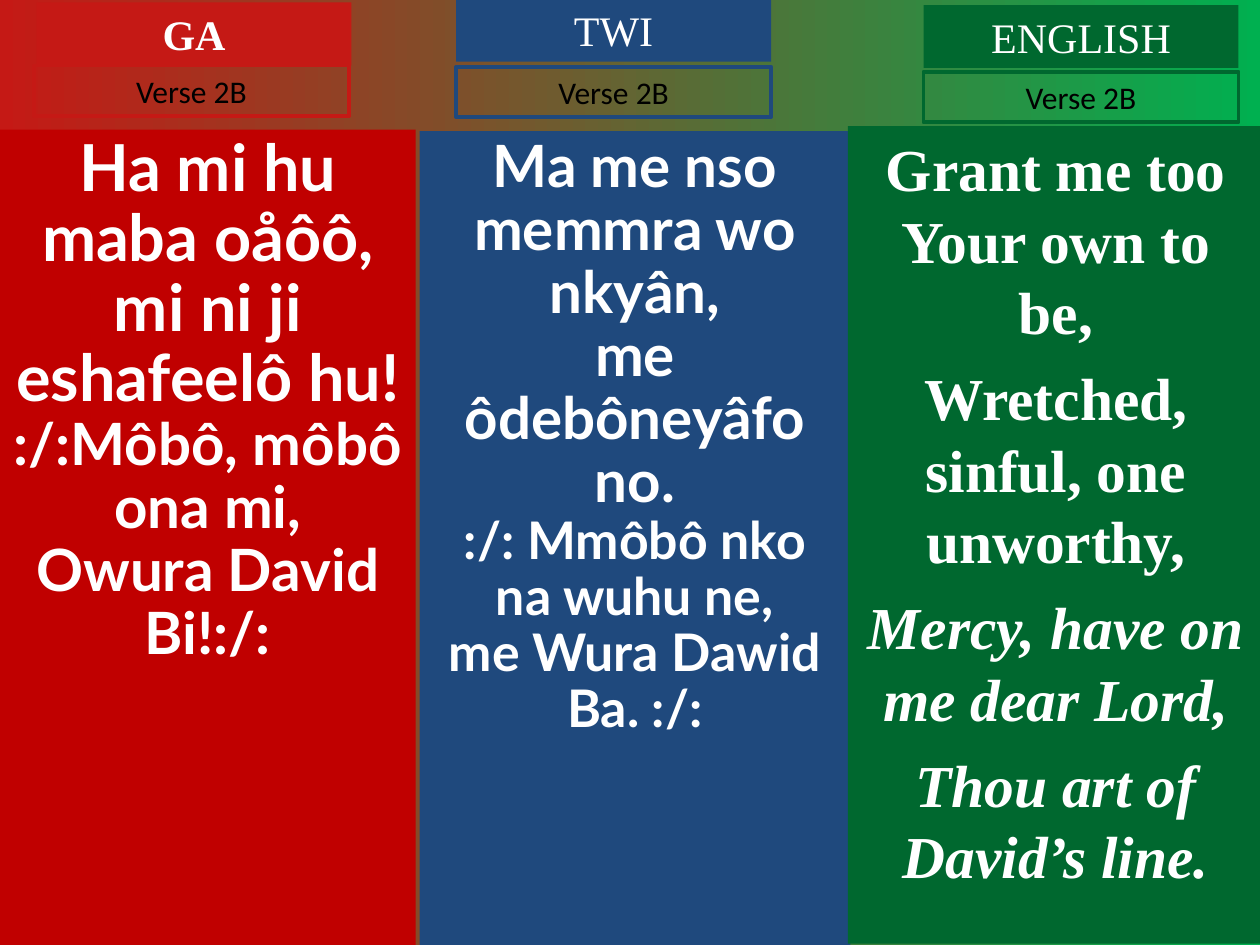
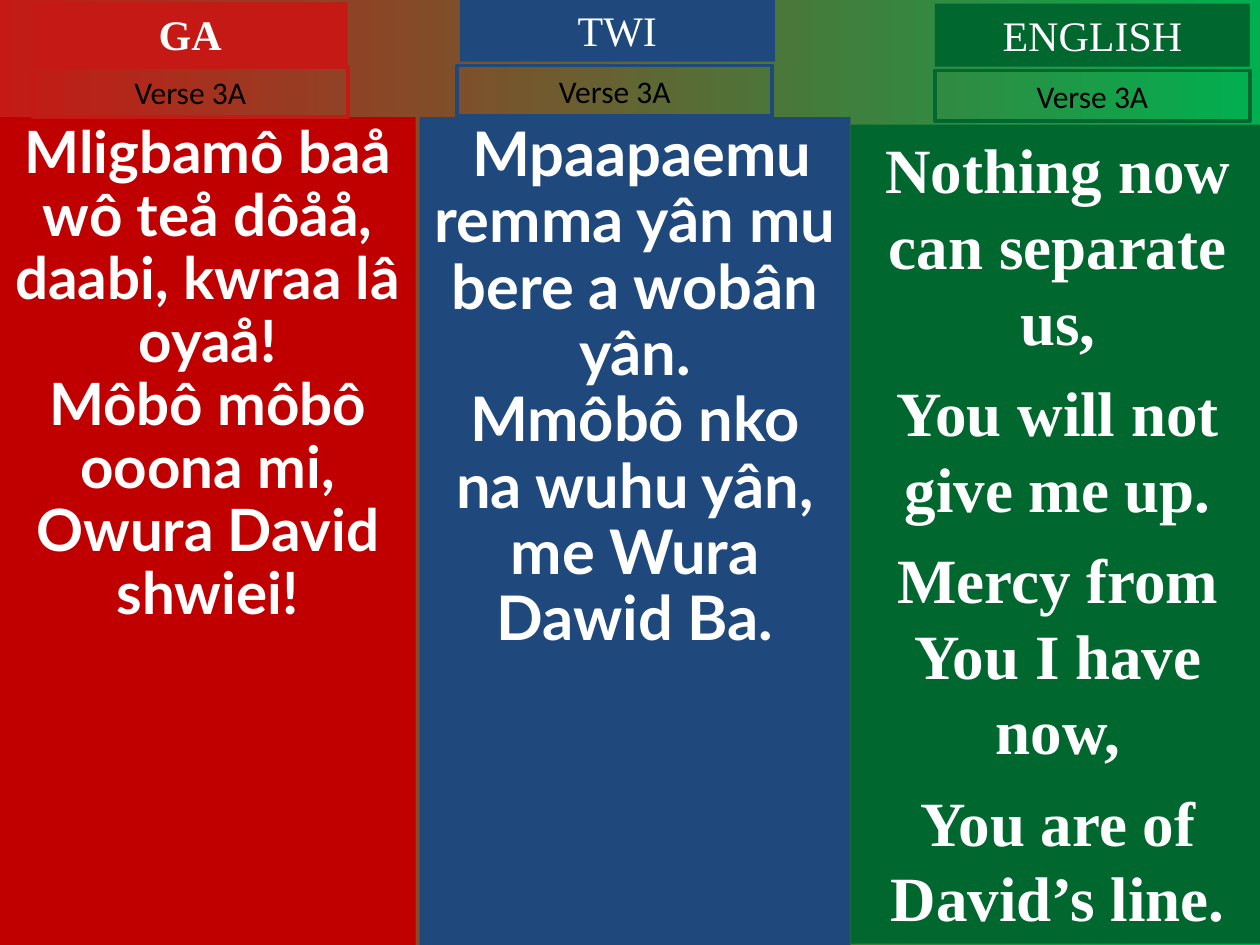
from pptx import Presentation
from pptx.dml.color import RGBColor
from pptx.enum import shapes, text
from pptx.util import Inches, Pt

WHITE, BLACK = RGBColor(255, 255, 255), RGBColor(0, 0, 0)
RED, DEEP_RED = RGBColor(0xC5, 0x19, 0x15), RGBColor(0xC0, 0, 0)
BLUE = RGBColor(0x1F, 0x49, 0x7D)
GREEN, BRIGHT_GREEN = RGBColor(0, 0x68, 0x2F), RGBColor(0, 0xB0, 0x50)
SERIF, LYRIC, LABEL = "Times New Roman", "Lato", "Calibri"

# What each language looks like on every slide
LANGUAGES = {
    "GA": {"accent": RED, "panel": DEEP_RED, "bold": True,
           "font": LYRIC, "spacing": 0.9},
    "TWI": {"accent": BLUE, "panel": BLUE, "bold": False,
            "font": LYRIC, "spacing": 0.9},
    "ENGLISH": {"accent": GREEN, "panel": GREEN, "bold": False,
                "font": SERIF, "spacing": 1.0},
}

# Boxes are (left, top) for headings and labels, (left, top, width, height)
# for panels; lines are (text, size, italic); first indent is in inches
VERSES = [
    {"label": "Verse 2B", "columns": {
        "GA": {"panel": (0, 1.03, 3.3, 6.47), "heading": (0.29, 0.02),
               "label": (0.27, 0.52), "before": 0, "indent": 0, "lines": [
            ("Ha mi hu maba oåôô,", 37, False),
            ("mi ni ji eshafeelô hu!", 37, False),
            (":/:Môbô, môbô ona mi,", 33.3, False),
            ("Owura David Bi!:/:", 33.3, False)]},
        "TWI": {"panel": (3.33, 1.04, 3.42, 6.46), "heading": (3.62, -0.01),
                "label": (3.62, 0.53), "before": 0, "indent": 0, "lines": [
            ("Ma me nso memmra wo nkyân,", 33.3, False),
            ("me ôdebôneyâfo no.", 33.3, False),
            (":/: Mmôbô nko na wuhu ne,", 29.6, False),
            ("me Wura Dawid Ba. :/:", 29.6, False)]},
        "ENGLISH": {"panel": (6.73, 1, 3.3, 6.49), "heading": (7.33, 0.04),
                    "label": (7.33, 0.57), "before": 8.5, "indent": 0, "lines": [
            ("Grant me too Your own to be,", 34, False),
            ("Wretched, sinful, one unworthy,", 34, False),
            ("Mercy, have on me dear Lord,", 34, True),
            ("Thou art of David’s line.", 34, True)]},
    }},
    {"label": "Verse 3A", "columns": {
        "GA": {"panel": (0, 0.93, 3.3, 6.57), "heading": (0.26, 0.02),
               "label": (0.26, 0.53), "before": 0, "indent": 0, "lines": [
            ("Mligbamô baå wô teå dôåå,", 33.3, False),
            ("daabi, kwraa lâ oyaå!", 33.3, False),
            ("Môbô môbô ooona mi,", 33.3, False),
            ("Owura David shwiei!", 33.3, False)]},
        "TWI": {"panel": (3.33, 0.93, 3.42, 6.57), "heading": (3.65, -0.01),
                "label": (3.63, 0.52), "before": 0, "indent": 0.11, "lines": [
            ("Mpaapaemu remma yân mu", 35.1, False),
            ("bere a wobân yân.", 35.1, False),
            ("Mmôbô nko na wuhu yân,", 35.1, False),
            ("me Wura Dawid Ba.", 35.1, False)]},
        "ENGLISH": {"panel": (6.75, 0.99, 3.29, 6.5), "heading": (7.42, 0.03),
                    "label": (7.42, 0.56), "before": 9, "indent": 0, "lines": [
            ("Nothing now can separate us,", 36, False),
            ("You will not give me up.", 36, False),
            ("Mercy from You I have now,", 36, False),
            ("You are of David’s line.", 36, False)]},
    }},
]
HEADING_SIZE, LABEL_SIZE = (2.5, 0.5), (2.5, 0.4)


def add_box(slide, box, fill=None, outline=None, grow=False):
    """Add a plain rectangle, filled or outlined, with text from the top."""
    shape = slide.shapes.add_shape(shapes.MSO_SHAPE.RECTANGLE,
                                   *(Inches(length) for length in box))
    shape.shadow.inherit = False
    if fill is None:
        shape.fill.background()
    else:
        shape.fill.solid()
        shape.fill.fore_color.rgb = fill
    if outline is None:
        shape.line.fill.background()
    else:
        shape.line.color.rgb = outline
        shape.line.width = Pt(2.25)
    frame = shape.text_frame
    frame.word_wrap = True
    frame.vertical_anchor = text.MSO_ANCHOR.TOP
    if grow:
        frame.auto_size = text.MSO_AUTO_SIZE.SHAPE_TO_FIT_TEXT
    return frame


def write(paragraph, words, font, size, color, bold=False, italic=False):
    paragraph.alignment = text.PP_ALIGN.CENTER
    run = paragraph.add_run()
    run.text = words
    run.font.name, run.font.size = font, Pt(size)
    run.font.bold, run.font.italic = bold, italic
    run.font.color.rgb = color


def add_panel(slide, column, style):
    frame = add_box(slide, column["panel"], fill=style["panel"])
    for index, (words, size, italic) in enumerate(column["lines"]):
        paragraph = frame.add_paragraph() if index else frame.paragraphs[0]
        paragraph.line_spacing = style["spacing"]
        if index:
            paragraph.space_before = Pt(column["before"])
        elif column["indent"]:
            properties = paragraph._p.get_or_add_pPr()
            properties.set("indent", str(Inches(column["indent"])))
        write(paragraph, words, style["font"], size, WHITE, True, italic)


def add_header(slide, name, column, style, label):
    heading = add_box(slide, column["heading"] + HEADING_SIZE,
                      fill=style["accent"], grow=True)
    write(heading.paragraphs[0], name, SERIF, 24, WHITE, style["bold"])
    verse = add_box(slide, column["label"] + LABEL_SIZE,
                    outline=style["accent"], grow=True)
    write(verse.paragraphs[0], label, LABEL, 18, BLACK)


def paint_background(slide):
    fill = slide.background.fill
    fill.gradient()
    fill.gradient_angle = 0
    for stop, color in zip(fill.gradient_stops, (RED, BRIGHT_GREEN)):
        stop.color.rgb = color


def main():
    presentation = Presentation()
    presentation.slide_width, presentation.slide_height = Inches(10), Inches(7.5)
    for verse in VERSES:
        slide = presentation.slides.add_slide(presentation.slide_layouts[6])
        paint_background(slide)
        # Lyric panels lie beneath the headings
        for name, column in verse["columns"].items():
            add_panel(slide, column, LANGUAGES[name])
        for name, column in verse["columns"].items():
            add_header(slide, name, column, LANGUAGES[name], verse["label"])
    presentation.save("out.pptx")


if __name__ == "__main__":
    main()
